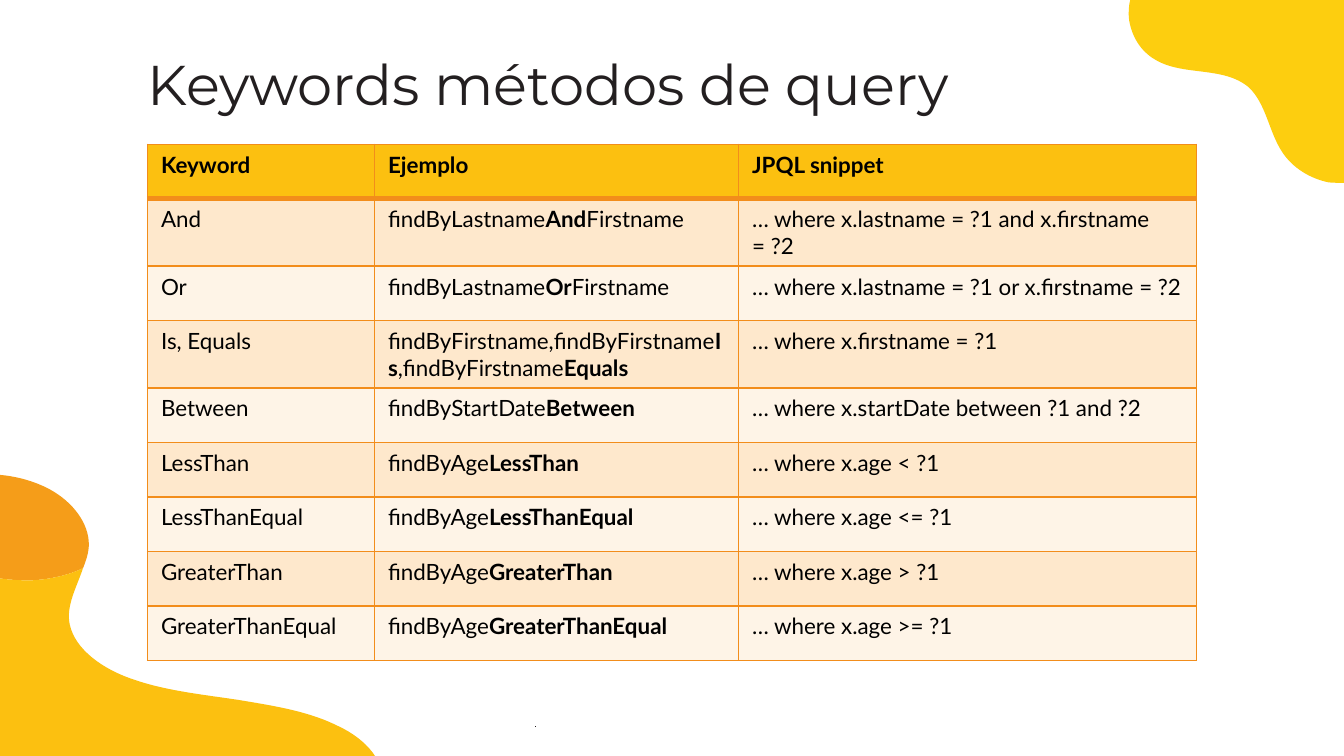
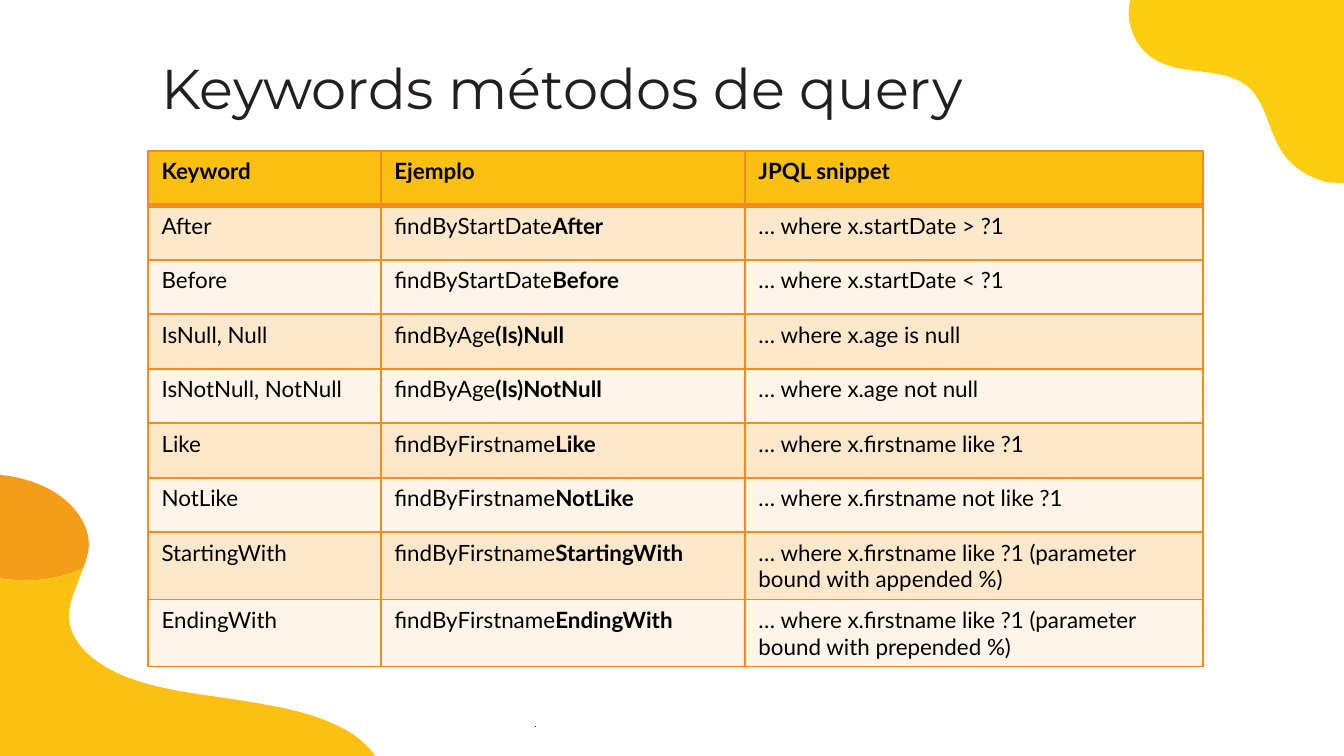
from dataclasses import dataclass
from typing import NamedTuple

from lxml import etree
from pptx import Presentation
from pptx import util as u
from pptx.dml.color import RGBColor
from pptx.enum import text
from pptx.oxml import ns


@dataclass(frozen=True)
class Theme:
    ink: str = "231F20"
    body: str = "000000"
    corner: str = "FDCE0F"
    cap: str = "F59D19"
    amber: str = "FCC010"
    border: str = "F28D1B"
    bands: tuple[str, str] = ("FEE8CC", "FEF4E7")
    title_font: str = "Montserrat"
    body_font: str = "Lato"
    title_size: int = 30
    body_size: int = 12
    thin: float = 1
    thick: float = 3


THEME = Theme()
Point = tuple[float, float]
Curve = tuple[Point, ...]  # 3n + 1 points of n joined cubic curves


class Blob(NamedTuple):
    color: str
    curves: tuple[Curve, ...]  # joined by straight lines


class Keyword(NamedTuple):
    name: str
    example: str  # asterisks enclose the bold part
    snippet: str


@dataclass(frozen=True)
class KeywordSlide:
    title_at: Point
    table_at: Point
    columns: tuple[float, float, float]
    keywords: tuple[Keyword, ...]


# Decoration, in centimetres
SEAM: Curve = (
    (-0.1, 10.92), (0.1, 10.95), (0.28, 10.97), (0.48, 10.97),
    (0.53, 10.97), (0.58, 10.97), (0.61, 10.97),
    (0.97, 10.95), (1.3, 10.87), (1.57, 10.74),
)
BLOBS = (
    Blob(THEME.ink, (
        ((10.13, 13.72),), ((10.13, 13.73),), ((10.12, 13.73),), ((10.12, 13.72),),
    )),
    Blob(THEME.corner, (
        ((21.54, -0.38), (21.36, -0.15), (21.31, 0.13), (21.34, 0.38),
         (21.39, 0.69), (21.56, 0.97), (21.82, 1.12),
         (22.35, 1.45), (23.11, 1.24), (23.6, 1.65),
         (23.93, 1.96), (23.98, 2.49), (24.23, 2.87),
         (24.43, 3.18), (24.77, 3.38), (25.12, 3.45),
         (25.2, 3.45), (25.27, 3.46), (25.32, 3.46),
         (25.48, 3.46), (25.6, 3.45), (25.76, 3.4)),
        ((25.76, -0.38),),
    )),
    Blob(THEME.cap, (
        SEAM + (
            (1.63, 10.59), (1.68, 10.44), (1.68, 10.29),
            (1.68, 9.91), (1.4, 9.5), (0.94, 9.25),
            (0.64, 9.09), (0.28, 8.99), (-0.1, 8.97)),
    )),
    Blob(THEME.amber, (
        SEAM[::-1],
        ((-0.1, 15.24),),
        ((7.04, 15.24), (7.14, 15.14), (7.19, 15.01), (7.21, 14.88),
         (7.32, 14.43), (6.93, 13.97), (6.38, 13.72),
         (5.82, 13.44), (5.16, 13.34), (4.5, 13.23),
         (3.84, 13.13), (3.15, 13.06), (2.54, 12.85),
         (1.93, 12.65), (1.42, 12.27), (1.32, 11.81),
         (1.24, 11.46), (1.45, 11.1), (1.57, 10.74)),
    )),
)

# Content
TITLE = "Keywords métodos de query"
HEADER = Keyword("*Keyword*", "*Ejemplo*", "*JPQL snippet*")
ROW_HEIGHT = 1.03
SLIDES = (
    KeywordSlide((2.54, 0.69), (2.79, 2.73), (4.29, 6.88, 8.65), (
        Keyword("And", "findByLastname*And*Firstname",
                "… where x.lastname = ?1 and x.firstname = ?2"),
        Keyword("Or", "findByLastname*Or*Firstname",
                "… where x.lastname = ?1 or x.firstname = ?2"),
        Keyword("Is, Equals",
                "findByFirstname,findByFirstname*Is*,findByFirstname*Equals*",
                "… where x.firstname = ?1"),
        Keyword("Between", "findByStartDate*Between*",
                "… where x.startDate between ?1 and ?2"),
        Keyword("LessThan", "findByAge*LessThan*", "… where x.age < ?1"),
        Keyword("LessThanEqual", "findByAge*LessThanEqual*", "… where x.age <= ?1"),
        Keyword("GreaterThan", "findByAge*GreaterThan*", "… where x.age > ?1"),
        Keyword("GreaterThanEqual", "findByAge*GreaterThanEqual*",
                "… where x.age >= ?1"),
    )),
    KeywordSlide((2.8, 0.76), (2.8, 2.85), (4.4, 6.88, 8.66), (
        Keyword("After", "findByStartDate*After*", "… where x.startDate > ?1"),
        Keyword("Before", "findByStartDate*Before*", "… where x.startDate < ?1"),
        Keyword("IsNull, Null", "findByAge*(Is)Null*", "… where x.age is null"),
        Keyword("IsNotNull, NotNull", "findByAge*(Is)NotNull*",
                "… where x.age not null"),
        Keyword("Like", "findByFirstname*Like*", "… where x.firstname like ?1"),
        Keyword("NotLike", "findByFirstname*NotLike*",
                "… where x.firstname not like ?1"),
        Keyword("StartingWith", "findByFirstname*StartingWith*",
                "… where x.firstname like ?1 (parameter bound with appended %)"),
        Keyword("EndingWith", "findByFirstname*EndingWith*",
                "… where x.firstname like ?1 (parameter bound with prepended %)"),
    )),
)


def set_font(paragraph, name: str, size: float, color: str) -> None:
    font = paragraph.font
    font.name, font.size = name, u.Pt(size)
    font.color.rgb = RGBColor.from_string(color)


def bend(shape, curves: tuple[Curve, ...]) -> None:
    """Merge each three line segments of a curve into one cubic segment."""
    segments = list(shape.element.iter(ns.qn("a:lnTo")))
    offset = 0
    for curve in curves:
        for start in range(offset, offset + len(curve) - 1, 3):
            cubic, *others = segments[start:start + 3]
            cubic.tag = ns.qn("a:cubicBezTo")
            for other in others:
                cubic.append(other[0])
                other.getparent().remove(other)
        offset += len(curve)


def draw_blob(slide, blob: Blob):
    outline = [(u.Cm(x), u.Cm(y)) for curve in blob.curves for x, y in curve]
    builder = slide.shapes.build_freeform(*outline[0])
    builder.add_line_segments(outline[1:], close=True)
    shape = builder.convert_to_shape()
    bend(shape, blob.curves)
    shape.shadow.inherit = False
    shape.fill.solid()
    shape.fill.fore_color.rgb = RGBColor.from_string(blob.color)
    shape.line.fill.background()
    return shape


def place_title(slide, at: Point) -> None:
    title = slide.shapes.title
    title.left, title.top = u.Cm(at[0]), u.Cm(at[1])
    title.width, title.height = u.Cm(20.32), u.Cm(1.52)
    frame = title.text_frame
    frame.text = TITLE
    frame.word_wrap = True
    frame.auto_size = text.MSO_AUTO_SIZE.NONE
    frame.vertical_anchor = text.MSO_ANCHOR.TOP
    frame.margin_left = frame.margin_right = u.Cm(0.25)
    frame.margin_top = frame.margin_bottom = u.Cm(0.25)
    paragraph = frame.paragraphs[0]
    paragraph.alignment = text.PP_ALIGN.LEFT
    set_font(paragraph, THEME.title_font, THEME.title_size, THEME.ink)


def set_borders(cell, top: float, bottom: float) -> None:
    properties = cell._tc.get_or_add_tcPr()
    widths = {"L": THEME.thin, "R": THEME.thin, "T": top, "B": bottom}
    for position, (side, width) in enumerate(widths.items()):
        line = etree.Element(ns.qn(f"a:ln{side}"), w=str(u.Pt(width)))
        fill = etree.SubElement(line, ns.qn("a:solidFill"))
        etree.SubElement(fill, ns.qn("a:srgbClr"), val=THEME.border)
        properties.insert(position, line)


def fill_cell(cell, content: str, color: str) -> None:
    cell.fill.solid()
    cell.fill.fore_color.rgb = RGBColor.from_string(color)
    paragraph = cell.text_frame.paragraphs[0]
    set_font(paragraph, THEME.body_font, THEME.body_size, THEME.body)
    for index, part in enumerate(content.split("*")):
        if part:
            run = paragraph.add_run()
            run.text = part
            run.font.bold = index % 2 == 1


def draw_table(slide, page: KeywordSlide) -> None:
    rows = (HEADER, *page.keywords)
    left, top = page.table_at
    table = slide.shapes.add_table(
        len(rows), len(page.columns), u.Cm(left), u.Cm(top),
        u.Cm(sum(page.columns)), u.Cm(ROW_HEIGHT * len(rows))).table
    table.horz_banding = False
    for column, width in zip(table.columns, page.columns):
        column.width = u.Cm(width)
    for index, keyword in enumerate(rows):
        table.rows[index].height = u.Cm(ROW_HEIGHT)
        color = THEME.bands[(index - 1) % 2] if index else THEME.amber
        above = THEME.thick if index == 1 else THEME.thin
        below = THEME.thick if index == 0 else THEME.thin
        for cell, content in zip(table.rows[index].cells, keyword):
            fill_cell(cell, content, color)
            set_borders(cell, above, below)


def main() -> None:
    deck = Presentation()
    deck.slide_width, deck.slide_height = u.Cm(25.4), u.Cm(14.29)
    layout = deck.slide_layouts.get_by_name("Title Only")
    pages = [(deck.slides.add_slide(layout), page) for page in SLIDES]

    # The blobs belong to the layout that both slides share
    for blob in BLOBS:
        layout.shapes.element.append(draw_blob(pages[0][0], blob).element)

    for slide, page in pages:
        place_title(slide, page.title_at)
        draw_table(slide, page)
    deck.save("out.pptx")


if __name__ == "__main__":
    main()
